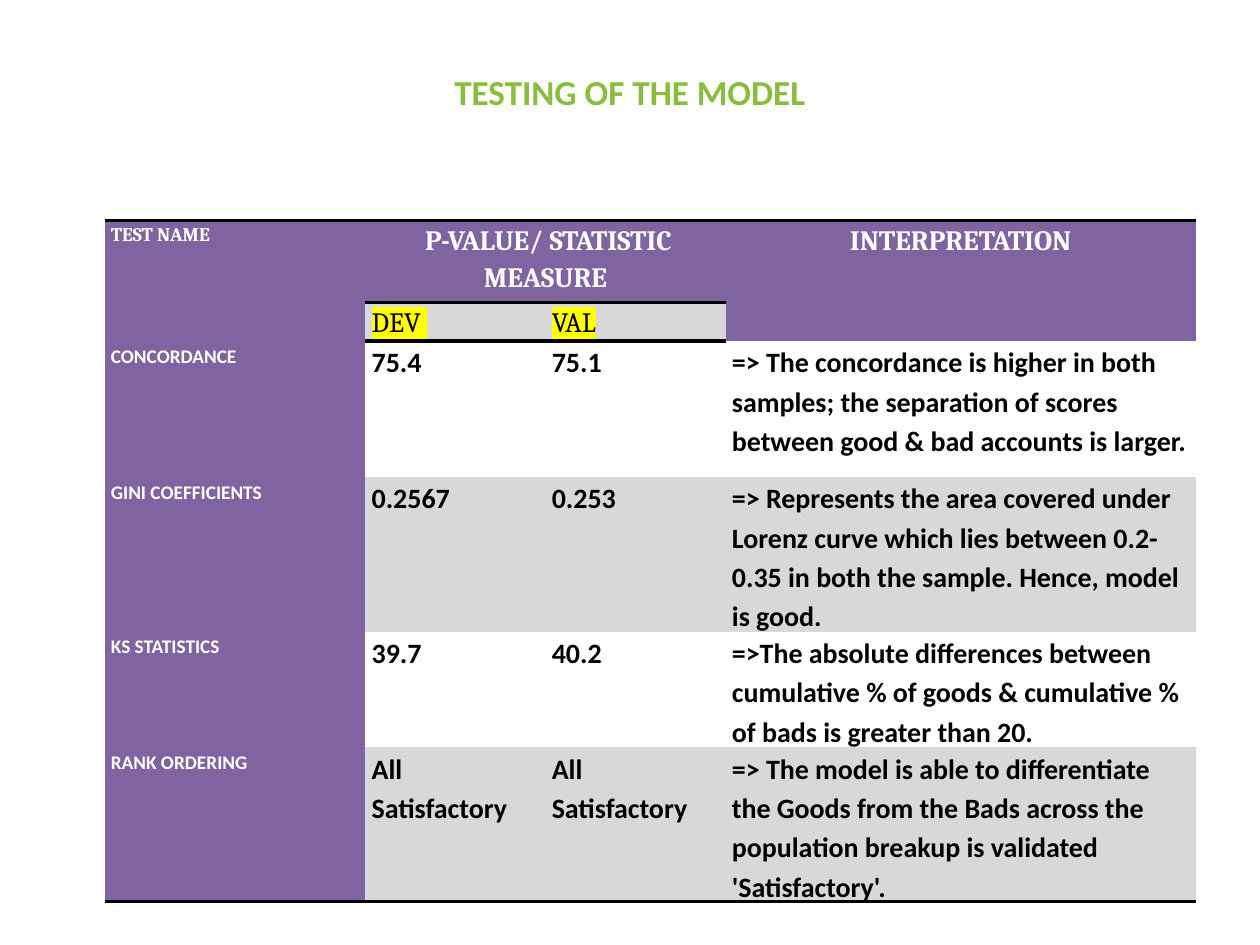
from lxml.etree import SubElement
from pptx import Presentation
from pptx.dml.color import RGBColor
from pptx.enum.text import MSO_ANCHOR, PP_ALIGN
from pptx.oxml import parse_xml
from pptx.oxml.ns import nsdecls, qn
from pptx.util import Inches, Pt

PURPLE, GREY, GREEN = "8064A2", "D8D8D8", "87BE3D"
BLACK, WHITE, YELLOW = "000000", "FFFFFF", "FFFF00"
NO_GRID_STYLE = "{2D5ABB26-0587-4C30-8999-92F81FD0307C}"

COLUMN_WIDTHS = [2.07, 1.43, 1.43, 3.73]
ROW_HEIGHTS = [0.65, 0.22, 1.08, 1.08, 0.86, 1.08]
TESTS = [
    ("CONCORDANCE", "75.4", "75.1",
     "=> The concordance is higher in both samples; the separation of scores "
     "between good & bad accounts is larger."),
    ("GINI COEFFICIENTS", "0.2567", "0.253",
     "=> Represents the area covered under Lorenz curve which lies between "
     "0.2-0.35 in both the sample. Hence, model is good."),
    ("KS STATISTICS", "39.7", "40.2",
     "=>The absolute differences between cumulative % of goods & cumulative % "
     "of bads is greater than 20."),
    ("RANK ORDERING", "All Satisfactory", "All Satisfactory",
     "=> The model is able to differentiate the Goods from the Bads across the "
     "population breakup is validated 'Satisfactory'."),
]


def color(hex_string):
    return RGBColor.from_string(hex_string)


class SlideBuilder:
    def __init__(self, slide):
        self.slide = slide

    def style(self, paragraph, size, font_color, font="Calibri", bold=True,
              align=PP_ALIGN.LEFT):
        paragraph.alignment = align
        paragraph.font.size = Pt(size)
        paragraph.font.name = font
        paragraph.font.bold = bold
        paragraph.font.color.rgb = color(font_color)

    def title(self, text, left, top, width, height):
        box = self.slide.shapes.add_textbox(
            Inches(left), Inches(top), Inches(width), Inches(height))
        frame = box.text_frame
        frame.word_wrap = True
        frame.vertical_anchor = MSO_ANCHOR.MIDDLE
        frame.text = text
        self.style(frame.paragraphs[0], 20, GREEN, align=PP_ALIGN.CENTER)

    def table(self, left, top, widths, heights):
        frame = self.slide.shapes.add_table(
            len(heights), len(widths), Inches(left), Inches(top),
            Inches(sum(widths)), Inches(sum(heights)))
        table = frame.table
        table.first_row = table.horz_banding = False
        table._tbl.tblPr.find(qn("a:tableStyleId")).text = NO_GRID_STYLE
        for column, width in zip(table.columns, widths):
            column.width = Inches(width)
        for row, height in zip(table.rows, heights):
            row.height = Inches(height)
        return table

    def cell(self, cell, text, fill=None, size=16, font_color=BLACK, **font):
        cell.margin_left = cell.margin_right = Inches(0.05)
        cell.margin_top = cell.margin_bottom = 0
        if fill:
            cell.fill.solid()
            cell.fill.fore_color.rgb = color(fill)
        else:
            cell.fill.background()
        cell.text = text
        paragraph = cell.text_frame.paragraphs[0]
        paragraph.line_spacing = 1.15
        self.style(paragraph, size, font_color, **font)

    def highlight(self, cell, hex_string):
        run = cell.text_frame.paragraphs[0].runs[0]
        properties = run.font._element
        marker = SubElement(properties, qn("a:highlight"))
        SubElement(marker, qn("a:srgbClr")).set("val", hex_string)

    def border(self, cell, side):
        """Draw a black rule on the side "T" (top) or "B" (bottom)."""
        line = parse_xml(
            f'<a:ln{side} {nsdecls("a")} w="{Pt(2.25)}"><a:solidFill>'
            f'<a:srgbClr val="{BLACK}"/></a:solidFill></a:ln{side}>')
        properties = cell._tc.get_or_add_tcPr()
        properties.insert(1 if properties.find(qn("a:lnT")) is not None else 0, line)


def main():
    presentation = Presentation()
    presentation.slide_width, presentation.slide_height = Inches(10), Inches(7.5)
    builder = SlideBuilder(
        presentation.slides.add_slide(presentation.slide_layouts[6]))
    builder.title("TESTING OF THE MODEL", 0.5, 0.3, 9, 0.85)

    table = builder.table(0.83, 1.75, COLUMN_WIDTHS, ROW_HEIGHTS)
    for first, last in [((0, 0), (1, 0)), ((0, 1), (0, 2)), ((0, 3), (1, 3))]:
        table.cell(*first).merge(table.cell(*last))

    headings = [(0, "TEST NAME", 11, PP_ALIGN.LEFT),
                (1, " P-VALUE/ STATISTIC MEASURE", 16, PP_ALIGN.CENTER),
                (3, "INTERPRETATION", 16, PP_ALIGN.CENTER)]
    for column, text, size, align in headings:
        builder.cell(table.cell(0, column), text, PURPLE, size, WHITE,
                     font="Cambria", align=align)
    for column, text in enumerate(["DEV ", "VAL"], start=1):
        cell = table.cell(1, column)
        builder.cell(cell, text, GREY, font="Cambria", bold=False)
        builder.highlight(cell, YELLOW)
        builder.border(cell, "T")

    for row, (name, *values) in enumerate(TESTS, start=2):
        builder.cell(table.cell(row, 0), name, PURPLE, 11, WHITE)
        for column, text in enumerate(values, start=1):
            builder.cell(table.cell(row, column), text, GREY if row % 2 else None)

    for column in range(len(COLUMN_WIDTHS)):
        builder.border(table.cell(0, column), "T")
        builder.border(table.cell(len(TESTS) + 1, column), "B")
    for column in (1, 2):
        builder.border(table.cell(0, column), "B")

    presentation.save("out.pptx")


if __name__ == "__main__":
    main()
